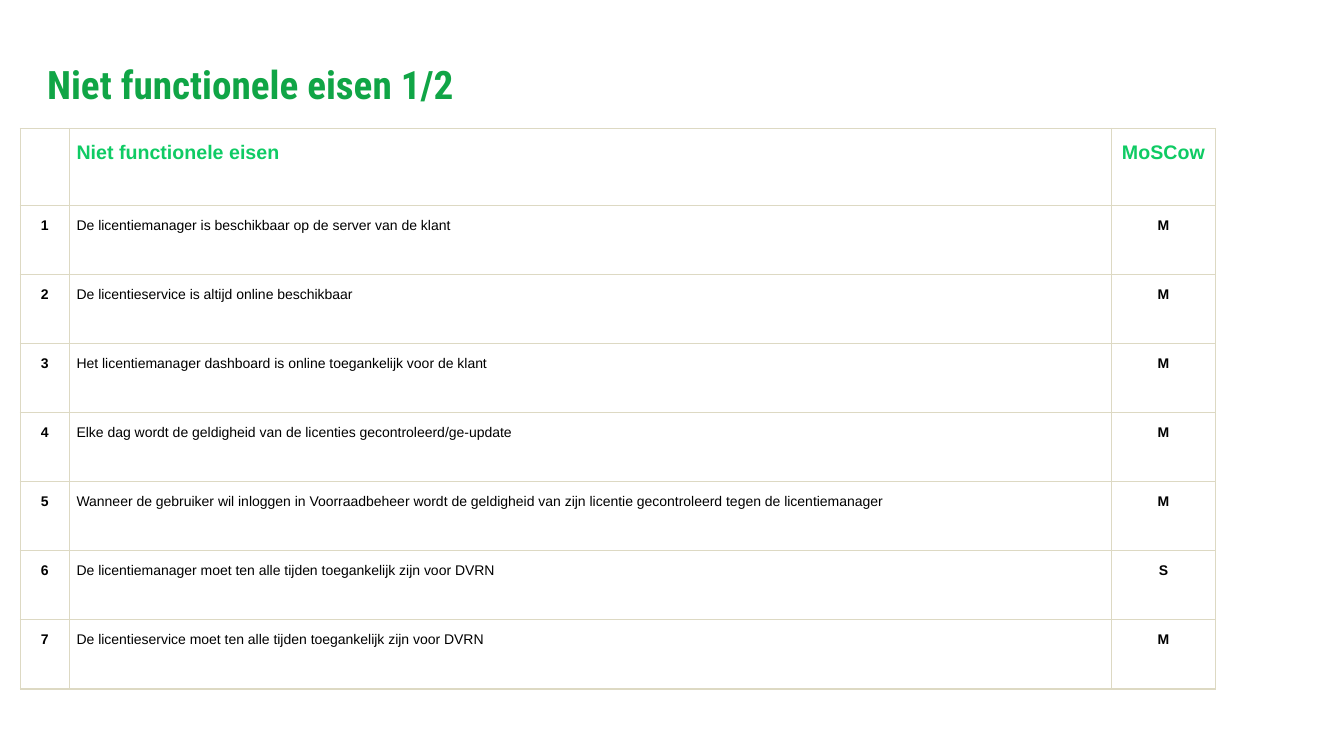
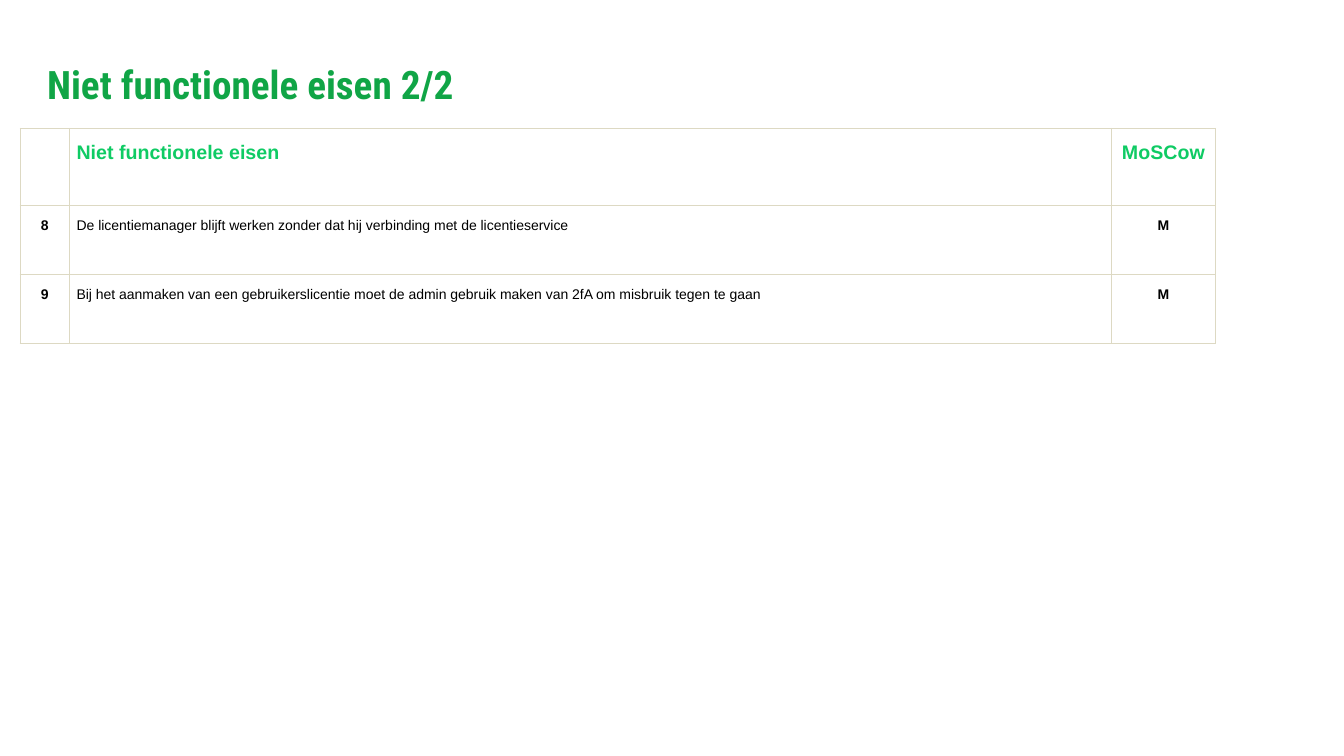
from lxml import etree
from pptx import Presentation
from pptx.dml.color import RGBColor
from pptx.enum.text import MSO_ANCHOR, PP_ALIGN
from pptx.oxml.ns import qn
from pptx.util import Cm, Pt

TITLE_GREEN = RGBColor(0x10, 0xA5, 0x46)
HEADER_GREEN = RGBColor(0x0F, 0xCB, 0x64)
BORDER = RGBColor(0xDD, 0xD9, 0xC3)
BLACK = RGBColor(0, 0, 0)
WHITE = RGBColor(0xFF, 0xFF, 0xFF)

COL_WIDTHS = [Cm(1.24), Cm(26.26), Cm(2.62)]
HEADER_HEIGHT = Cm(1.94)
ROW_HEIGHT = Cm(1.74)
HEADER = ("", "Niet functionele eisen", "MoSCow")

SLIDES = [
    ("Niet functionele eisen 1/2", [
        ("1", "De licentiemanager is beschikbaar op de server van de klant", "M"),
        ("2", "De licentieservice is altijd online beschikbaar", "M"),
        ("3", "Het licentiemanager dashboard is online toegankelijk voor de klant", "M"),
        ("4", "Elke dag wordt de geldigheid van de licenties gecontroleerd/ge-update", "M"),
        ("5", "Wanneer de gebruiker wil inloggen in Voorraadbeheer wordt de geldigheid "
              "van zijn licentie gecontroleerd tegen de licentiemanager", "M"),
        ("6", "De licentiemanager moet ten alle tijden toegankelijk zijn voor DVRN", "S"),
        ("7", "De licentieservice moet ten alle tijden toegankelijk zijn voor DVRN", "M"),
    ]),
    ("Niet functionele eisen 2/2", [
        ("8", "De licentiemanager blijft werken zonder dat hij verbinding met de "
              "licentieservice", "M"),
        ("9", "Bij het aanmaken van een gebruikerslicentie moet de admin gebruik maken "
              "van 2fA om misbruik tegen te gaan", "M"),
    ]),
]


def write(tf, text, name, size, color, bold):
    tf.text = text
    p = tf.paragraphs[0]
    for r in p.runs:
        r.font.name = name
        r.font.size = Pt(size)
        r.font.bold = bold
        r.font.color.rgb = color
    return p


def add_borders(cell):
    tcPr = cell._tc.get_or_add_tcPr()
    for side in ("a:lnL", "a:lnR", "a:lnT", "a:lnB"):
        ln = etree.SubElement(tcPr, qn(side), w=str(Pt(1)))
        fill = etree.SubElement(ln, qn("a:solidFill"))
        etree.SubElement(fill, qn("a:srgbClr"), val=str(BORDER))


prs = Presentation()
prs.slide_width = Cm(33.87)
prs.slide_height = Cm(19.05)

for title, items in SLIDES:
    s = prs.slides.add_slide(prs.slide_layouts[6])

    sp = s.shapes.add_textbox(Cm(0.94), Cm(0.58), Cm(28.7), Cm(2.26))
    tf = sp.text_frame
    tf.word_wrap = True
    tf.vertical_anchor = MSO_ANCHOR.BOTTOM
    p = write(tf, title, "Roboto Condensed", 28, TITLE_GREEN, True)
    p.line_spacing = 0.9

    rows = [HEADER] + items
    height = HEADER_HEIGHT + ROW_HEIGHT * len(items)
    table = s.shapes.add_table(len(rows), len(COL_WIDTHS), Cm(0.51), Cm(3.24),
                               sum(COL_WIDTHS), height).table
    table.first_row = False
    table.horz_banding = False
    for column, width in zip(table.columns, COL_WIDTHS):
        column.width = width

    for i, row in enumerate(rows):
        is_header = i == 0
        table.rows[i].height = HEADER_HEIGHT if is_header else ROW_HEIGHT
        size, color = (14, HEADER_GREEN) if is_header else (10, BLACK)
        for j, text in enumerate(row):
            cell = table.cell(i, j)
            add_borders(cell)
            cell.fill.solid()
            cell.fill.fore_color.rgb = WHITE
            cell.margin_left = cell.margin_right = Cm(0.18)
            cell.margin_top = cell.margin_bottom = Cm(0.25)
            p = write(cell.text_frame, text, "Arial", size, color, is_header or j != 1)
            p.alignment = PP_ALIGN.LEFT if j == 1 else PP_ALIGN.CENTER
            p.line_spacing = 1.15
            p.space_after = Pt(12)

prs.save("out.pptx")
